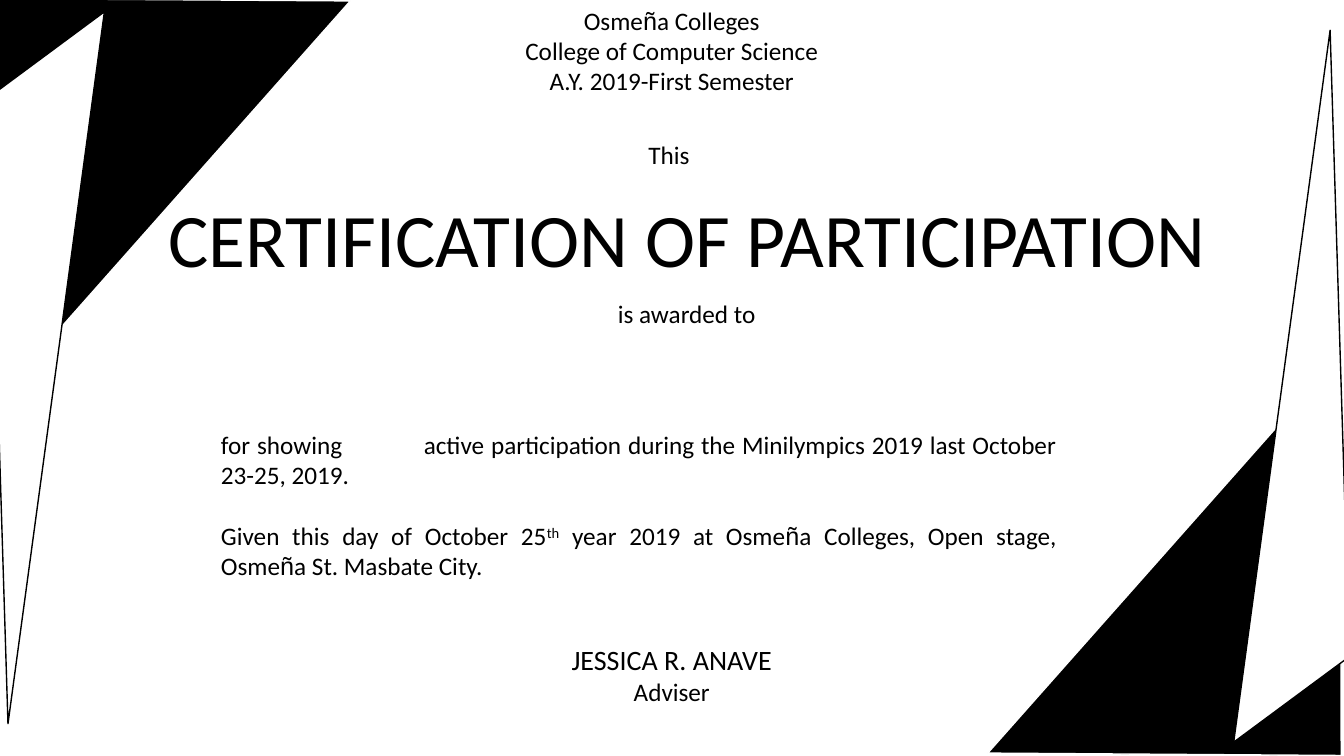
from dataclasses import dataclass
from itertools import groupby
from math import cos, radians, sin

from lxml.etree import SubElement
from pptx import Presentation
from pptx.dml.color import RGBColor
from pptx.enum.text import MSO_AUTO_SIZE as Fit, PP_ALIGN as Align
from pptx.oxml.ns import qn
from pptx.slide import Slide
from pptx.util import Cm, Pt

BLACK, WHITE = "000000", "FFFFFF"
TURN_X, TURN_Y = 33.72, 19.0  # sums of opposite coordinates under a half turn

Point = tuple[float, float]


@dataclass
class Run:
    """A piece of text with its size in points."""
    text: str
    size: int = 18
    raised: bool = False


@dataclass
class Para:
    """A paragraph made of runs, with an optional tab stop in centimetres."""
    runs: list[Run]
    align: Align = Align.CENTER
    before: int = 0
    tab: float = 0


@dataclass
class Block:
    """A text box, with its place in centimetres."""
    left: float
    top: float
    width: float
    height: float
    paras: list[Para]
    wrap: bool = True


@dataclass
class Triangle:
    """A corner triangle: vertices as seen, and centre and angle of its frame."""
    points: list[Point]
    center: Point
    angle: float
    fill: str
    line: str


def color(value: str) -> RGBColor:
    """Turn a hex string into a colour."""
    return RGBColor.from_string(value)


def line_of(text: str, size: int = 18) -> Para:
    """Make a centred paragraph of one run."""
    return Para([Run(text, size)])


def half_turn(point: Point) -> Point:
    """Move a point to the opposite corner of the slide."""
    return TURN_X - point[0], TURN_Y - point[1]


def unrotate(point: Point, center: Point, angle: float) -> Point:
    """Turn a point back about a centre by an angle in degrees."""
    c, n = cos(radians(angle)), sin(radians(angle))
    dx, dy = point[0] - center[0], point[1] - center[1]
    return center[0] + c * dx + n * dy, center[1] - n * dx + c * dy


def draw_triangle(s: Slide, tri: Triangle, turned: bool) -> None:
    """Draw a triangle, turned to the opposite corner if asked."""
    center, *pts = [half_turn(p) if turned else p for p in (tri.center, *tri.points)]
    flat = [unrotate(p, center, tri.angle) for p in pts]
    first, *rest = [(Cm(x), Cm(y)) for x, y in flat]
    builder = s.shapes.build_freeform(*first)
    builder.add_line_segments(rest, close=True)
    sp = builder.convert_to_shape()
    sp.rotation = tri.angle
    sp.shadow.inherit = False
    sp.fill.solid()
    sp.fill.fore_color.rgb = color(tri.fill)
    sp.line.color.rgb = color(tri.line)
    sp.line.width = Pt(1)


def draw_block(s: Slide, block: Block) -> None:
    """Draw a text box, setting each ñ in Arial and the rest in Calibri."""
    place = (block.left, block.top, block.width, block.height)
    tf = s.shapes.add_textbox(*map(Cm, place)).text_frame
    tf.word_wrap = block.wrap
    tf.auto_size = Fit.SHAPE_TO_FIT_TEXT
    for i, para in enumerate(block.paras):
        p = tf.add_paragraph() if i else tf.paragraphs[0]
        p.alignment = para.align
        p.space_before = Pt(para.before)
        if para.tab:
            tabs = SubElement(p._p.get_or_add_pPr(), qn("a:tabLst"))
            SubElement(tabs, qn("a:tab"), pos=str(Cm(para.tab)), algn="l")
        for run in para.runs:
            for is_tilde, chars in groupby(run.text, lambda c: c == "ñ"):
                r = p.add_run()
                r.text = "".join(chars)
                font = {"name": "Arial" if is_tilde else "Calibri", "size": Pt(run.size)}
                for key, value in font.items():
                    setattr(r.font, key, value)
                r.font.color.rgb = color(BLACK)
                if run.raised:
                    r._r.get_or_add_rPr().set("baseline", "30000")


CORNER = [
    Triangle([(8.86, 0.03), (-0.03, 10.06), (-0.05, -0.03)],
             (2.93, 4.57), 197.7, BLACK, WHITE),
    Triangle([(-0.28, 2.46), (0.21, 18.24), (2.64, 0.3)],
             (1.42, 9.27), 147.3, WHITE, BLACK),
]

SHOWING = "for showing\tactive participation during the Minilympics 2019 last October 23-25, 2019."
GIVEN = [
    Run("Given this day of October 25"),
    Run("th", raised=True),
    Run(" year 2019 at Osmeña Colleges, Open stage, Osmeña St. Masbate City."),
]

BLOCKS = [
    Block(11.18, 0, 11.5, 2.56, [
        line_of("Osmeña Colleges"),
        line_of("College of Computer Science"),
        line_of("A.Y. 2019-First Semester"),
    ]),
    Block(3.86, 4.7, 26.92, 2.56, [line_of("CERTIFICATION OF PARTICIPATION", 54)], wrap=False),
    Block(15.21, 3.39, 3.3, 1.02, [line_of("This")]),
    Block(14.5, 7.39, 5.61, 1.02, [line_of("is awarded to")]),
    Block(5.32, 10.69, 21.56, 4.11, [
        Para([Run(SHOWING)], Align.JUSTIFY, tab=5.08),
        Para(GIVEN, Align.JUSTIFY, before=22),
    ]),
    Block(13.54, 16.07, 6.78, 1.88, [line_of("JESSICA R. ANAVE", 20), line_of("Adviser")]),
]


def main() -> None:
    """Build the certificate and save it."""
    prs = Presentation()
    prs.slide_width, prs.slide_height = Cm(33.87), Cm(19.05)
    s = prs.slides.add_slide(prs.slide_layouts[6])
    for turned in (False, True):
        for tri in CORNER:
            draw_triangle(s, tri, turned)
    for block in BLOCKS:
        draw_block(s, block)
    prs.save("out.pptx")


main()
